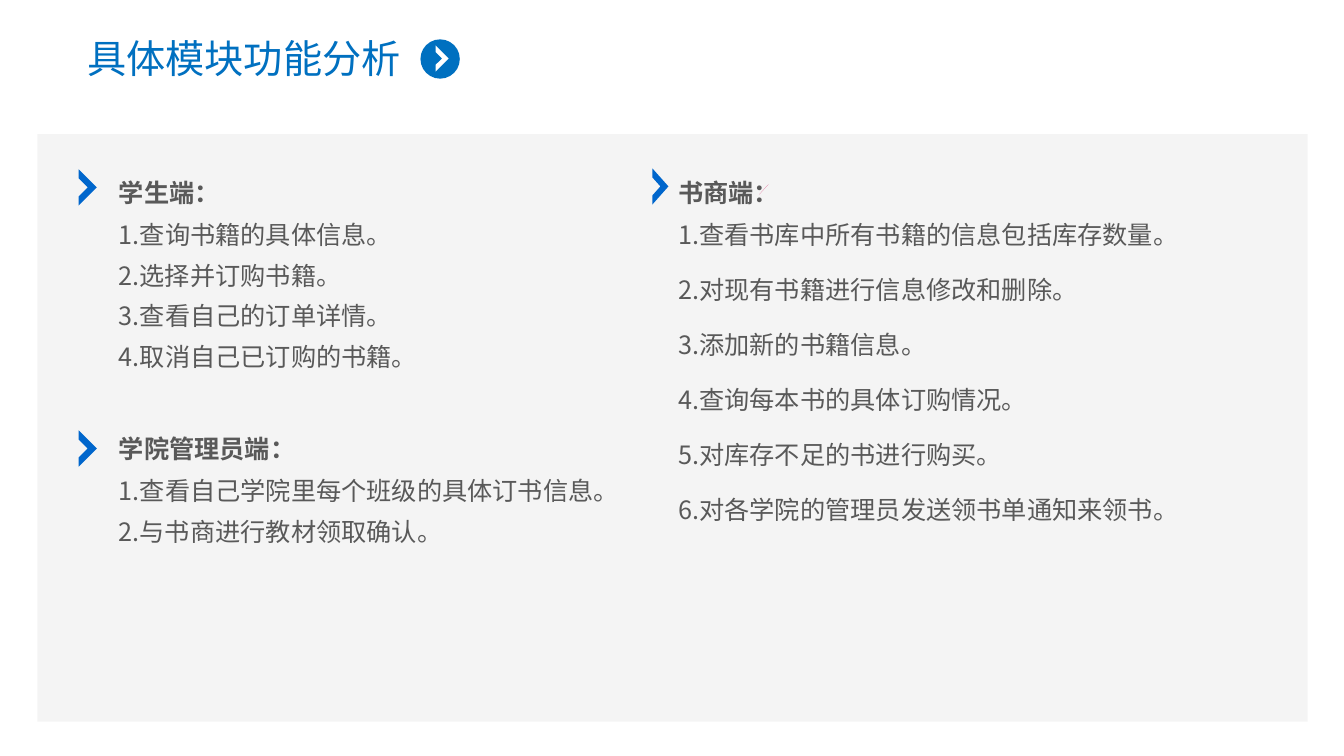
from pptx import Presentation
from pptx.dml.color import RGBColor
from pptx.enum.shapes import MSO_SHAPE
from pptx.enum.text import MSO_AUTO_SIZE, PP_ALIGN
from pptx.oxml.ns import qn
from pptx.util import Inches, Pt
from lxml.etree import SubElement

# Content
TITLE = "具体模块功能分析"
# mark: chevron left, top, width; box: left, top, width of the heading box
# next: top of the first single item; step: pitch; lead: line spacing of items
PARTS = [
    dict(head="学生端：", first="1.查询书籍的具体信息。",
         items=[("2.选择并订购书籍。", 3.16),
                ("3.查看自己的订单详情。", 3.79),
                ("4.取消自己已订购的书籍。", 2.91)],
         mark=(0.78, 1.68, 0.18), box=(1.08, 1.59, 5.29),
         next=2.53, step=0.405, lead=None),
    dict(head="学院管理员端：", first="1.查看自己学院里每个班级的具体订书信息。",
         items=[("2.与书商进行教材领取确认。", 3.16)],
         mark=(0.78, 4.27, 0.18), box=(1.08, 4.13, 7.15),
         next=5.07, step=0.405, lead=None),
    dict(head="书商端：", first="1.查看书库中所有书籍的信息包括库存数量。",
         items=[("2.对现有书籍进行信息修改和删除。", 6.14),
                ("3.添加新的书籍信息。", 6.14),
                ("4.查询每本书的具体订购情况。", 6.14),
                ("5.对库存不足的书进行购买。", 6.14),
                ("6.对各学院的管理员发送领书单通知来领书。", 6.14)],
         mark=(6.47, 1.67, 0.16), box=(6.63, 1.59, 6.14),
         next=2.56, step=0.545, lead=30),
]
CHEVRON = [(0, 0), (1, 0.5), (0, 1), (0, 0.75), (0.5, 0.5), (0, 0.25)]
SLIVER = [(0, 1), (1, 0), (0, 1)]

THEME = dict(font="Noto Sans CJK SC", title="0070C0", text="595959",
             mark="0066CC", panel="F2F2F2", sliver="D40F5A", white="FFFFFF",
             big=28, body=18, lead=30)

deck = Presentation()
deck.slide_width, deck.slide_height = Inches(13.33), Inches(7.5)
slide = deck.slides.add_slide(deck.slide_layouts[6])
shapes = slide.shapes


def paint(shape, color, alpha=None):
    shape.shadow.inherit = False
    shape.line.fill.background()
    shape.fill.solid()
    shape.fill.fore_color.rgb = RGBColor.from_string(THEME[color])
    if alpha:
        tone = shape._element.spPr.find(qn("a:solidFill"))[0]
        SubElement(tone, qn("a:alpha")).set("val", str(alpha * 1000))


def preset(kind, box, color, alpha=None):
    paint(shapes.add_shape(kind, *map(Inches, box)), color, alpha)


def outline(points, box, color):
    left, top, width, height = box
    spots = [(Inches(left + x * width), Inches(top + y * height))
             for x, y in points]
    form = shapes.build_freeform(*spots[0])
    form.add_line_segments(spots[1:], close=True)
    paint(form.convert_to_shape(), color)


def write(lines, box, size="body", color="text", lead=None, align=None):
    """Each line is a (text, bold) pair."""
    frame = shapes.add_textbox(*map(Inches, box)).text_frame
    frame.word_wrap = True
    frame.auto_size = MSO_AUTO_SIZE.SHAPE_TO_FIT_TEXT
    for i, (text, bold) in enumerate(lines):
        para = frame.add_paragraph() if i else frame.paragraphs[0]
        para.alignment = align
        if lead:
            para.line_spacing = Pt(lead)
        run = para.add_run()
        run.text = text
        look = dict(size=Pt(THEME[size]), bold=bold, name=THEME["font"])
        for key, value in look.items():
            setattr(run.font, key, value)
        run.font.color.rgb = RGBColor.from_string(THEME[color])
        east = SubElement(run._r.get_or_add_rPr(), qn("a:ea"))
        east.set("typeface", THEME["font"])


# Panel and red sliver
preset(MSO_SHAPE.RECTANGLE, (0.37, 1.33, 12.6, 5.83), "panel", 78)
outline(SLIVER, (7.53, 1.83, 0.09, 0.1), "sliver")

# Title with its round badge
write([(TITLE, False)], (0.67, 0.29, 3.5, 0.57), "big", "title",
      align=PP_ALIGN.CENTER)
preset(MSO_SHAPE.OVAL, (4.17, 0.39, 0.39, 0.39), "title")
outline(CHEVRON, (4.32, 0.45, 0.13, 0.26), "white")

# Modules
for part in PARTS:
    outline(CHEVRON, (*part["mark"], 0.36), "mark")
    write([(part["head"], True), (part["first"], False)],
          (*part["box"], 0.94), lead=THEME["lead"])
    for i, (text, width) in enumerate(part["items"]):
        top = part["next"] + i * part["step"]
        height = 0.52 if part["lead"] else 0.4
        write([(text, False)], (part["box"][0], top, width, height),
              lead=part["lead"])

deck.save("out.pptx")
